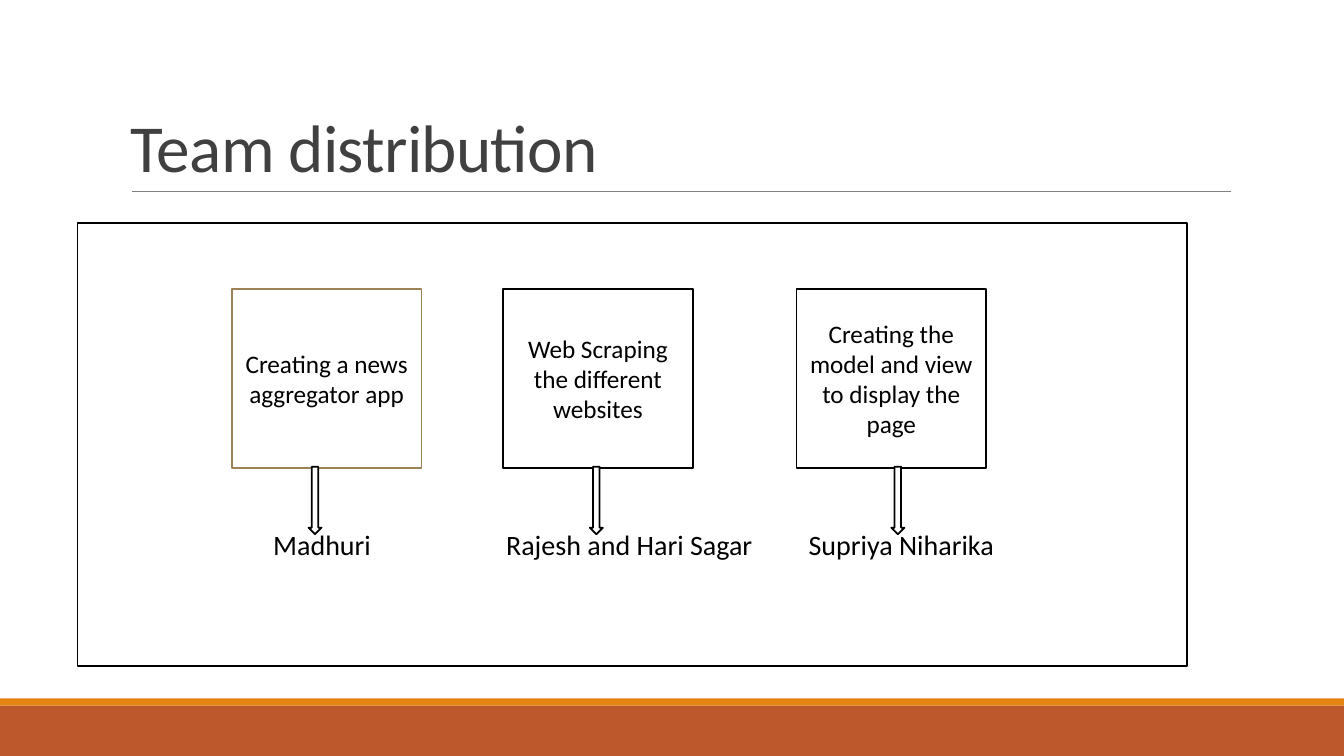
from pptx import Presentation
from pptx.dml.color import RGBColor
from pptx.enum.shapes import MSO_CONNECTOR, MSO_SHAPE
from pptx.enum.text import MSO_ANCHOR, PP_ALIGN
from pptx.oxml.ns import qn
from pptx.util import Inches, Pt
from lxml.etree import SubElement

WIDTH, HEIGHT = 13.33, 7.5
BLACK = RGBColor(0x00, 0x00, 0x00)
WHITE = RGBColor(0xFF, 0xFF, 0xFF)
GRAY = RGBColor(0x80, 0x80, 0x80)
CHARCOAL = RGBColor(0x40, 0x40, 0x40)
RUST = RGBColor(0xBD, 0x58, 0x2C)
ORANGE = RGBColor(0xE4, 0x83, 0x12)
TAN = RGBColor(0x9B, 0x83, 0x57)

TITLE = "Team distribution"
# task, people, outline, left of box, left of arrow, left of name
TEAMS = [
    ("Creating a news aggregator app", "Madhuri", TAN, 2.3, 3.06, 2.71),
    ("Web Scraping the different websites", "Rajesh and Hari Sagar", BLACK, 4.99, 5.85, 5.02),
    ("Creating the model and view to display the page", "Supriya Niharika", BLACK, 7.9, 8.84, 8.02),
]
BANDS = [(7, 0.5, RUST), (6.93, 0.07, ORANGE)]
TASK_TOP, TASK_WIDTH, TASK_HEIGHT = 2.87, 1.88, 1.77
ARROW_TOP, ARROW_WIDTH, ARROW_HEIGHT = 4.63, 0.13, 0.67
NAME_TOP, NAME_WIDTH, NAME_HEIGHT = 5.2, 2.7, 0.4


def add_box(slide, kind, box, fill, outline=None):
    shape = slide.shapes.add_shape(kind, *map(Inches, box))
    shape.shadow.inherit = False
    shape.fill.solid()
    shape.fill.fore_color.rgb = fill
    if outline is None:
        shape.line.fill.background()
    else:
        shape.line.color.rgb = outline
        shape.line.width = Pt(1.25)
    return shape


def write(shape, text, size, color=BLACK, anchor=MSO_ANCHOR.MIDDLE, align=PP_ALIGN.LEFT):
    frame = shape.text_frame
    frame.word_wrap = True
    frame.vertical_anchor = anchor
    paragraph = frame.paragraphs[0]
    paragraph.alignment = align
    run = paragraph.add_run()
    run.text = text
    for name, value in {"name": "Calibri", "size": Pt(size)}.items():
        setattr(run.font, name, value)
    run.font.color.rgb = color
    return paragraph


def add_title(slide):
    title = slide.shapes.add_textbox(*map(Inches, (1.2, 0.31, 11, 1.59)))
    paragraph = write(title, TITLE, 48, CHARCOAL, MSO_ANCHOR.BOTTOM)
    paragraph.line_spacing = 0.85
    paragraph.runs[0].font._element.set("spc", "-50")
    rule = slide.shapes.add_connector(
        MSO_CONNECTOR.STRAIGHT, *map(Inches, (1.31, 1.9, 12.21, 1.9)))
    rule.line.color.rgb = GRAY
    rule.line.width = Pt(0.5)
    SubElement(rule._element.spPr, qn("a:effectLst"))


def add_team(slide, task, people, outline, task_left, arrow_left, name_left):
    box = add_box(slide, MSO_SHAPE.RECTANGLE,
                  (task_left, TASK_TOP, TASK_WIDTH, TASK_HEIGHT), WHITE, outline)
    write(box, task, 18, align=PP_ALIGN.CENTER)
    name = slide.shapes.add_textbox(
        *map(Inches, (name_left, NAME_TOP, NAME_WIDTH, NAME_HEIGHT)))
    write(name, people, 20)
    frame = name.text_frame
    for side in ("left", "right", "top", "bottom"):
        setattr(frame, f"margin_{side}", 0)
    add_box(slide, MSO_SHAPE.DOWN_ARROW,
            (arrow_left, ARROW_TOP, ARROW_WIDTH, ARROW_HEIGHT), WHITE, BLACK)


def main():
    presentation = Presentation()
    presentation.slide_width, presentation.slide_height = Inches(WIDTH), Inches(HEIGHT)
    slide = presentation.slides.add_slide(presentation.slide_layouts[6])
    for top, height, color in BANDS:
        add_box(slide, MSO_SHAPE.RECTANGLE, (0, top, WIDTH, height), color)
    add_title(slide)
    add_box(slide, MSO_SHAPE.RECTANGLE, (0.77, 2.21, 11, 4.4), WHITE, BLACK)
    for team in TEAMS:
        add_team(slide, *team)
    presentation.save("out.pptx")


if __name__ == "__main__":
    main()
